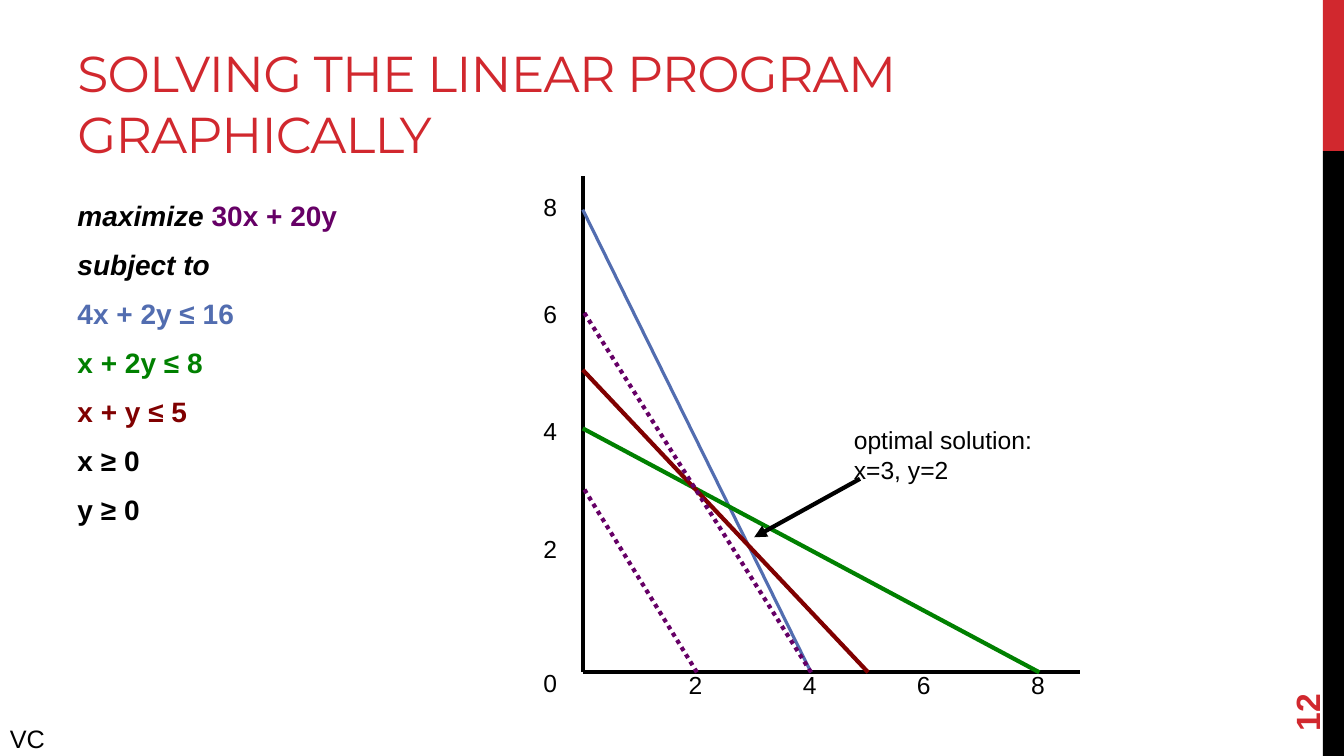
from pptx import Presentation
from pptx.dml.color import RGBColor
from pptx.enum.dml import MSO_LINE
from pptx.enum.shapes import MSO_CONNECTOR, MSO_SHAPE
from pptx.enum.text import MSO_ANCHOR
from pptx.oxml.ns import qn
from pptx.util import Inches, Pt
from lxml.etree import SubElement

HUES = {"red": "D1282E", "black": "000000", "plum": "660066",
        "blue": "526DB0", "green": "008000", "brown": "800000"}
TITLE = "SOLVING THE LINEAR PROGRAM GRAPHICALLY"
MODEL = [
    [("maximize ", "black", True), ("30x + 20y", "plum", False)],
    [("subject to", "black", True)],
    [("4x + 2y ≤ 16", "blue", False)],
    [("x + 2y ≤ 8", "green", False)],
    [("x + y ≤ 5", "brown", False)],
    [("x ≥ 0", "black", False)],
    [("y ≥ 0", "black", False)],
]
BARS = [(0, 1.5, "red"), (1.5, 6, "black")]
LEFT, BASE, UNIT = 5.78, 6.67, 0.566
ROWS = {"2": 5.25, "0": 6.58, "4": 4.08, "6": 2.92, "8": 1.85}
COLS = [2, 4, 6, 8]
PLOTS = [
    (2.08, 4, "blue", 2.25, False),
    (4.25, 8, "green", 3, False),
    (3.67, 5, "brown", 3, False),
    (4.83, 2, "plum", 3, True),
    (3.08, 4, "plum", 3, True),
]

deck = Presentation()
deck.slide_width, deck.slide_height = Inches(13.33), Inches(7.5)
slide = deck.slides.add_slide(deck.slide_layouts[6])


def write(text, x, y, w, h, size=17.6, face="Arial", hue="black", bold=False,
          wrap=True, anchor=MSO_ANCHOR.TOP, track=0, turn=0):
    """Add a text box from a string or a list of paragraphs of runs."""
    box = slide.shapes.add_textbox(Inches(x), Inches(y), Inches(w), Inches(h))
    box.rotation = turn
    frame = box.text_frame
    frame.word_wrap, frame.vertical_anchor = wrap, anchor
    paras = [[(text, hue, False)]] if isinstance(text, str) else text
    for i, parts in enumerate(paras):
        para = frame.add_paragraph() if i else frame.paragraphs[0]
        if len(paras) > 1:
            para.space_before, para.space_after = Pt(5 if i else 0), Pt(6)
        for words, tint, slant in parts:
            run = para.add_run()
            run.text = words
            font = run.font
            font.name, font.size = face, Pt(size)
            font.bold, font.italic = bold, slant
            font.color.rgb = RGBColor.from_string(HUES[tint])
            if track:
                run._r.get_or_add_rPr().set("spc", str(track))


def draw(x1, y1, x2, y2, hue="black", width=3, dots=False, arrow=False):
    """Add a straight line."""
    link = slide.shapes.add_connector(
        MSO_CONNECTOR.STRAIGHT, Inches(x1), Inches(y1), Inches(x2), Inches(y2))
    link.line.width = Pt(width)
    link.line.color.rgb = RGBColor.from_string(HUES[hue])
    if dots:
        link.line.dash_style = MSO_LINE.ROUND_DOT
    if arrow:
        SubElement(link.line._get_or_add_ln(), qn("a:tailEnd"), type="triangle")
    SubElement(link._element.spPr, qn("a:effectLst"))


for top, high, hue in BARS:
    bar = slide.shapes.add_shape(
        MSO_SHAPE.RECTANGLE, Inches(13.12), Inches(top), Inches(0.21), Inches(high))
    bar.shadow.inherit = False
    bar.fill.solid()
    bar.fill.fore_color.rgb = RGBColor.from_string(HUES[hue])
    bar.line.fill.background()

write(TITLE, 0.67, 0.17, 8.44, 1.5, size=36, face="Montserrat", hue="red",
      anchor=MSO_ANCHOR.BOTTOM, track=-60)
write(MODEL, 0.67, 1.92, 11.11, 4.78, size=20, bold=True)

draw(LEFT, 1.75, LEFT, BASE)
draw(LEFT, BASE, 10.71, BASE)
for mark, y in ROWS.items():
    write(mark, 5.29, y, 0.34, 0.4, wrap=False)
for mark in COLS:
    write(str(mark), LEFT + mark * UNIT - 0.18, 6.6, 0.34, 0.4, wrap=False)
for top, cut, hue, width, dots in PLOTS:
    draw(LEFT + cut * UNIT, BASE, LEFT, top, hue, width, dots)

draw(8.53, 4.75, 7.48, 5.33, arrow=True)
write("optimal solution: x=3, y=2", 8.37, 4.17, 2.04, 0.69)
write("12", 12.24, 6.37, 1.44, 0.53, size=24, hue="red", bold=True,
      anchor=MSO_ANCHOR.MIDDLE, turn=270)
write("VC", 0, 7.13, 0.76, 0.4, size=18)

deck.save("out.pptx")
